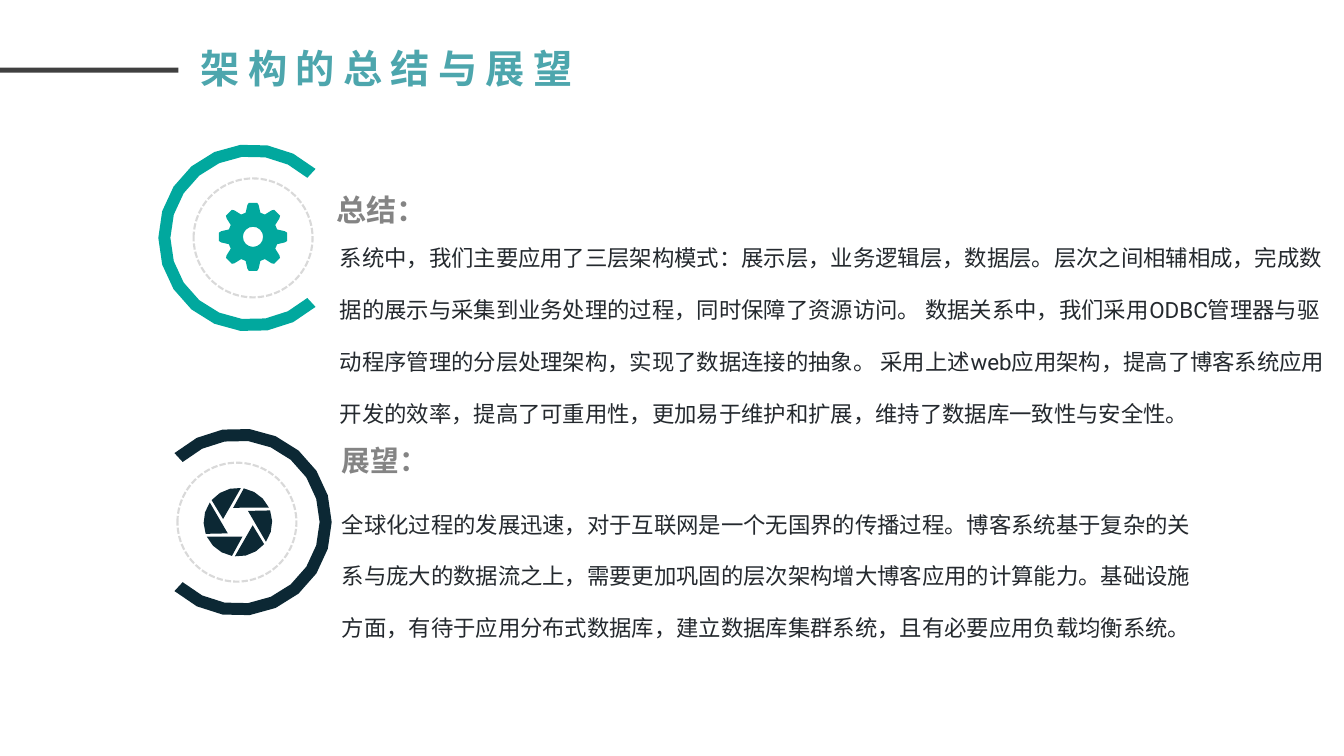
"""Build the summary and outlook slide of the architecture presentation."""
import math

import lxml.etree
import pptx
import pptx.dml.color
import pptx.enum.dml
import pptx.enum.shapes
import pptx.enum.text
import pptx.oxml.ns
import pptx.util

Inches = pptx.util.Inches
color = pptx.dml.color.RGBColor.from_string

TEAL, NAVY, GREY = "01A89E", "0C2834", "848484"
CJK_FONT = "Noto Sans CJK SC"


def arc(radius, start, end, steps):
    return [(radius, start + (end - start) * step / steps) for step in range(steps + 1)]


def add_outline(center, contours, fill, rotation=0):
    builder = None
    for contour in contours:
        points = [
            (
                Inches(center[0] + radius * math.cos(math.radians(angle))),
                Inches(center[1] - radius * math.sin(math.radians(angle))),
            )
            for radius, angle in contour
        ]
        if builder is None:
            builder = slide.shapes.build_freeform(*points[0], scale=1.0)
        else:
            builder.move_to(*points[0])
        builder.add_line_segments(points[1:], close=True)
    shape = builder.convert_to_shape()
    shape.shadow.inherit = False
    shape.fill.solid()
    shape.fill.fore_color.rgb = color(fill)
    shape.line.fill.background()
    shape.rotation = rotation


presentation = pptx.Presentation()
presentation.slide_width = Inches(13.33)
presentation.slide_height = Inches(7.5)
slide = presentation.slides.add_slide(presentation.slide_layouts[6])

title_bar = slide.shapes.add_shape(
    pptx.enum.shapes.MSO_SHAPE.RECTANGLE, 0, Inches(0.67), Inches(1.77), Inches(0.05)
)
title_bar.shadow.inherit = False
title_bar.fill.solid()
title_bar.fill.fore_color.rgb = color("404040")
title_bar.line.fill.background()

open_ring = arc(0.93, -42.6, 222.6, 16) + arc(0.81, 222.6, -42.6, 16)
add_outline((2.35, 2.51), [open_ring], TEAL, 270)
add_outline((2.51, 5.33), [open_ring], NAVY, 90)

for left, top in [(1.92, 1.77), (1.76, 4.59)]:
    dashed_ring = slide.shapes.add_shape(
        pptx.enum.shapes.MSO_SHAPE.OVAL, Inches(left), Inches(top), Inches(1.18), Inches(1.18)
    )
    dashed_ring.shadow.inherit = False
    dashed_ring.fill.background()
    dashed_ring.line.color.rgb = color("D9D9D9")
    dashed_ring.line.width = pptx.util.Pt(1.5)
    dashed_ring.line.dash_style = pptx.enum.dml.MSO_LINE.SQUARE_DOT

tooth = [(0.25, -17), (0.32, -10), (0.34, -7), (0.34, 7), (0.32, 10), (0.25, 17)]
gear = [(radius, angle + turn) for turn in range(0, 360, 45) for radius, angle in tooth]
add_outline((2.51, 2.35), [gear, arc(0.1, 360, 22.5, 15)], TEAL)

blades = [arc(0.34, turn, turn + 55, 3) + [(0.15, turn + 83)] for turn in range(25, 385, 60)]
add_outline((2.36, 5.18), blades, NAVY)

texts = [
    ("架构的总结与展望", (1.78, 0.39, 4.11, 0.66), True, None,
     {"name": CJK_FONT, "size": 28, "bold": True}, "4DA6AD"),
    ("总结：", (3.29, 1.68, 1.01, 0.52), False, 38,
     {"name": "Roboto", "size": 21.5, "bold": True}, GREY),
    ("系统中，我们主要应用了三层架构模式：展示层，业务逻辑层，数据层。层次之间相辅相成，"
     "完成数据的展示与采集到业务处理的过程，同时保障了资源访问。 数据关系中，"
     "我们采用ODBC管理器与驱动程序管理的分层处理架构，实现了数据连接的抽象。 "
     "采用上述web应用架构，提高了博客系统应用开发的效率，提高了可重用性，"
     "更加易于维护和扩展，维持了数据库一致性与安全性。",
     (3.32, 2.13, 9.99, 1.32), True, 37, {"name": "Roboto", "size": 16}, "24292E"),
    ("展望：", (3.34, 4.34, 0.97, 0.5), False, None,
     {"name": CJK_FONT, "size": 20.5, "bold": True}, GREY),
    ("全球化过程的发展迅速，对于互联网是一个无国界的传播过程。"
     "博客系统基于复杂的关系与庞大的数据流之上，需要更加巩固的层次架构增大博客应用的计算能力。"
     "基础设施方面，有待于应用分布式数据库，建立数据库集群系统，且有必要应用负载均衡系统。",
     (3.34, 4.77, 8.7, 1.02), True, 37, {"name": "Roboto", "size": 16}, "24292E"),
]
for text, box, wrap, line_spacing, font_format, text_color in texts:
    frame = slide.shapes.add_textbox(*map(Inches, box)).text_frame
    frame_format = {
        "word_wrap": wrap,
        "auto_size": pptx.enum.text.MSO_AUTO_SIZE.SHAPE_TO_FIT_TEXT,
        "margin_left": Inches(0.05),
        "margin_right": Inches(0.05),
        "margin_top": Inches(0.05),
        "margin_bottom": Inches(0.05),
    }
    for name, value in frame_format.items():
        setattr(frame, name, value)
    paragraph = frame.paragraphs[0]
    if line_spacing:
        paragraph.line_spacing = pptx.util.Pt(line_spacing)
    run = paragraph.add_run()
    run.text = text
    for name, value in font_format.items():
        setattr(run.font, name, pptx.util.Pt(value) if name == "size" else value)
    run.font.color.rgb = color(text_color)
    properties = run._r.get_or_add_rPr()
    east_asian = lxml.etree.SubElement(properties, pptx.oxml.ns.qn("a:ea"))
    east_asian.set("typeface", CJK_FONT)
    if text == "架构的总结与展望":
        paragraph.alignment = pptx.enum.text.PP_ALIGN.CENTER
        properties.set("spc", "600")

presentation.save("out.pptx")
